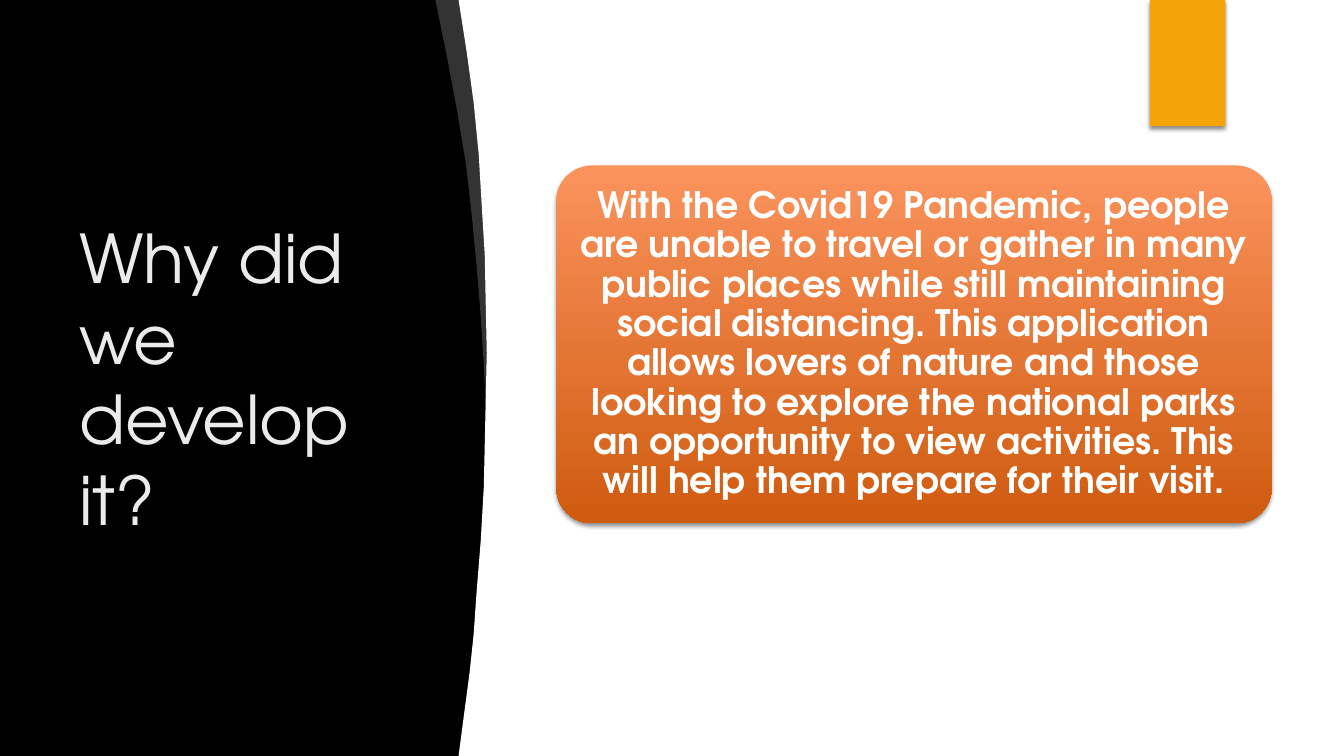
from pptx import Presentation
from pptx.dml.color import RGBColor
from pptx.enum.shapes import MSO_SHAPE as Kind
from pptx.enum.text import MSO_ANCHOR as Anchor, PP_ALIGN as Align
from pptx.oxml import parse_xml
from pptx.oxml.ns import nsdecls
from pptx.util import Cm, Pt


def paint(fill, color):
    fill.solid()
    fill.fore_color.rgb = RGBColor.from_string(color)


def write(shape, text, margins, style):
    frame = shape.text_frame
    frame.word_wrap = True
    frame.vertical_anchor = Anchor.MIDDLE
    for side, gap in margins.items():
        setattr(frame, "margin_" + side, Cm(gap))
    para = frame.paragraphs[0]
    para.text = text
    font = para.runs[0].font
    for name, value in style.items():
        setattr(font, name, value)
    return para, font


FACE = "TeX Gyre Adventor"
WHITE = "FFFFFF"

deck = Presentation()
deck.slide_width, deck.slide_height = Cm(33.87), Cm(19.05)
slide = deck.slides.add_slide(deck.slide_layouts[6])
paint(slide.background.fill, "000000")
shapes = slide.shapes

sliver = [
    (432, 0), (484, 0), (485, 18), (490, 115), (493, 226), (493, 330),
    (489, 402), (482, 406), (480, 361), (477, 314), (473, 265),
    (468, 213), (462, 161), (453, 107), (443, 54),
]
panel = [
    (602, 750), (602, 0), (455, 0), (463, 51), (470, 102), (475, 153),
    (478, 204), (481, 253), (482, 302), (483, 350), (482, 396),
    (481, 441), (480, 484), (477, 537), (473, 586), (470, 629),
    (466, 667), (460, 712), (455, 750),
]
unit = Cm(2.54) / 100
curves = []
for points in (sliver, panel):
    pen = shapes.build_freeform(*points[0], scale=unit)
    pen.add_line_segments(points[1:], close=True)
    curve = pen.convert_to_shape()
    paint(curve.fill, WHITE)
    curves.append(curve)
tint = curves[0].fill._xPr.solidFill[0]
tint.append(parse_xml(f'<a:alpha {nsdecls("a")} val="20000"/>'))

page = shapes.add_shape(Kind.RECTANGLE, Cm(12.88), 0, Cm(20.99), Cm(19.05))
paint(page.fill, WHITE)
tab = shapes.add_shape(Kind.RECTANGLE, Cm(28.98), 0, Cm(1.9), Cm(3.18))
paint(tab.fill, "F5A408")

card = shapes.add_shape(
    Kind.ROUNDED_RECTANGLE, Cm(14.02), Cm(4.17), Cm(18.03), Cm(9.02))
card.adjustments[0] = 0.1
card.fill.gradient()
card.fill.gradient_angle = 270
for stop, place, color in zip(card.fill.gradient_stops, (0, 1), ("FB935D", "CF5B0F")):
    stop.position = place
    stop.color.rgb = RGBColor.from_string(color)

for shape in (*curves, page, tab, card):
    shape.line.fill.background()
    shape.shadow.inherit = False
for shape in (tab, card):
    effects = shape._element.spPr.find(
        "{http://schemas.openxmlformats.org/drawingml/2006/main}effectLst")
    effects.append(parse_xml(
        f'<a:outerShdw {nsdecls("a")} blurRad="{Pt(3)}" dist="{Pt(2)}" '
        'dir="5400000" rotWithShape="0"><a:srgbClr val="000000">'
        '<a:alpha val="45000"/></a:srgbClr></a:outerShdw>'))

title = shapes.add_textbox(Cm(1.75), Cm(1.75), Cm(8.66), Cm(15.54))
para, font = write(
    title, "Why did we develop it?", {},
    {"name": FACE, "size": Pt(48)})
paint(font.fill, "EBEBEB")

para, font = write(
    card,
    "With the Covid19 Pandemic, people are unable to travel or gather in many "
    "public places while still maintaining social distancing. This application "
    "allows lovers of nature and those looking to explore the national parks an "
    "opportunity to view activities. This will help them prepare for their visit.",
    {"left": 0.13, "right": 0.13, "top": 0.1, "bottom": 0.1},
    {"name": FACE, "size": Pt(26), "bold": True})
paint(font.fill, WHITE)
para.alignment = Align.CENTER
para.line_spacing = 0.9

deck.save("out.pptx")
